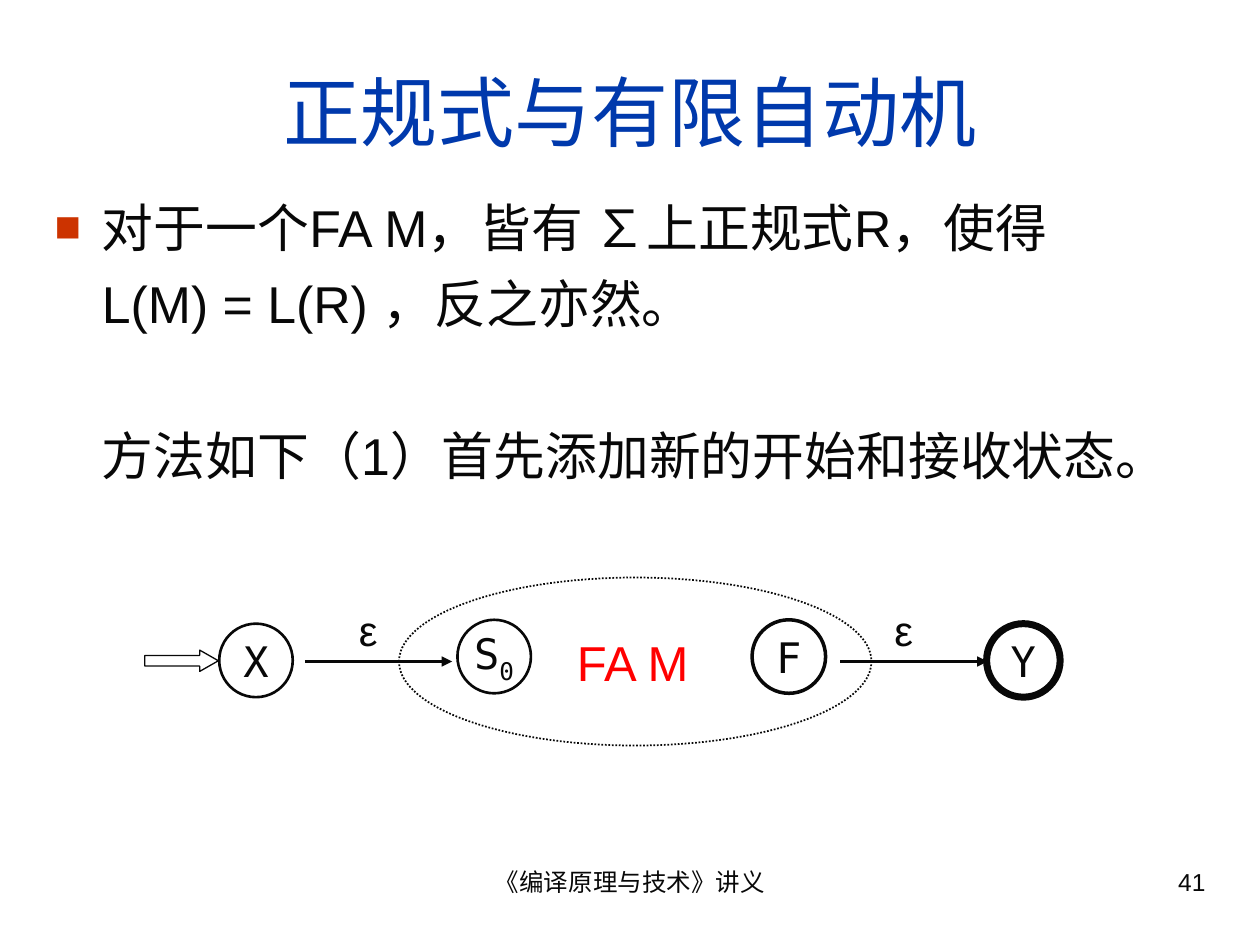
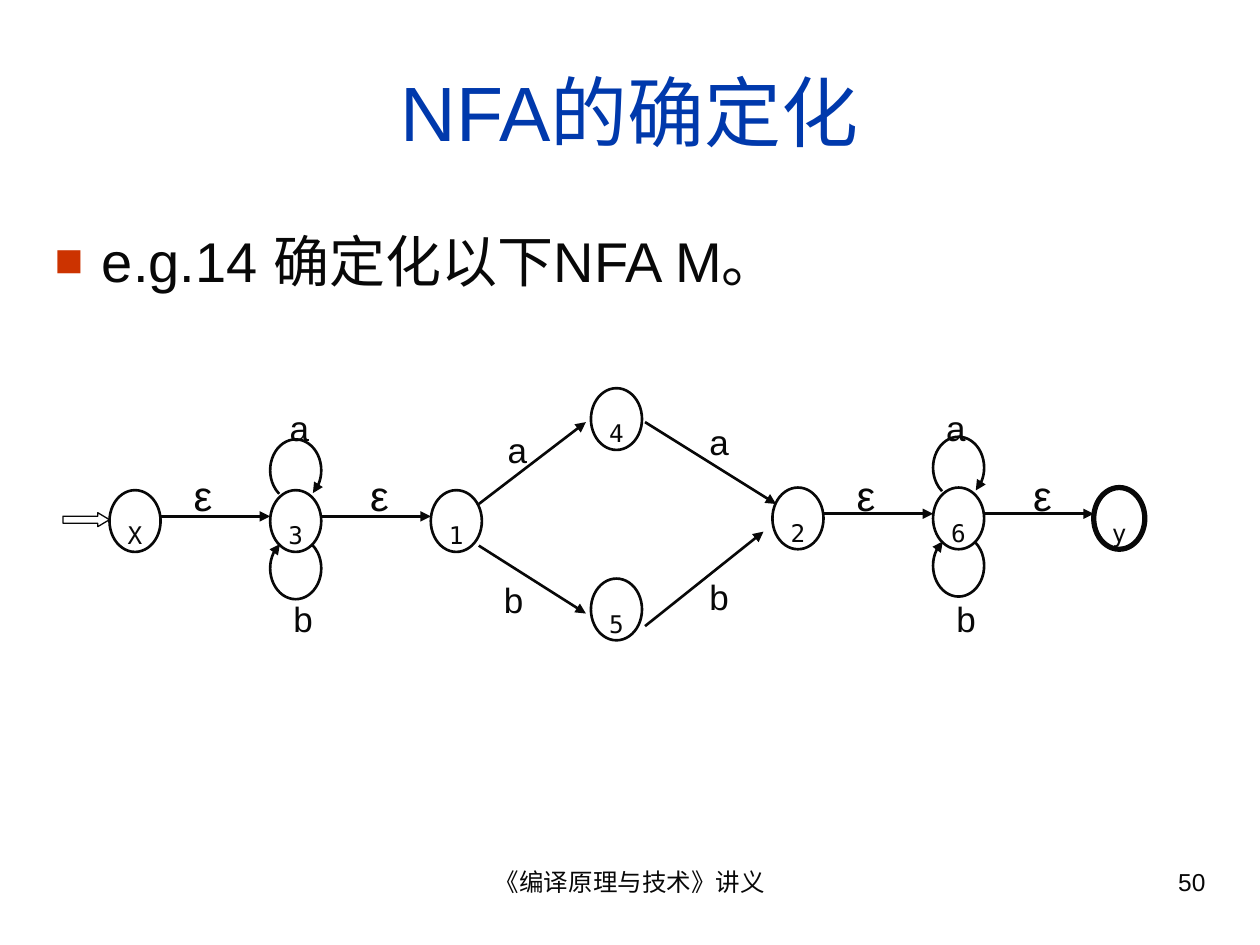
from pptx import Presentation
from pptx.dml.color import RGBColor
from pptx.enum.dml import MSO_LINE_DASH_STYLE as Dash
from pptx.enum.shapes import MSO_CONNECTOR as Connector, MSO_SHAPE as Shape
from pptx.enum.text import MSO_ANCHOR as Anchor, MSO_AUTO_SIZE as AutoSize, PP_ALIGN as Align
from pptx.oxml.ns import qn
from pptx.oxml.xmlchemy import OxmlElement
from pptx.util import Pt

INK = RGBColor(0x08, 0x08, 0x08)
TITLE_BLUE = RGBColor(0x00, 0x39, 0xAC)
BULLET_RED = RGBColor(0xCC, 0x33, 0x00)
ACCENT_RED = RGBColor(0xFF, 0x00, 0x00)
SANS = "Arial"
MONO = "DejaVu Sans Mono"
FOOTER = "《编译原理与技术》讲义"

HANGING = 27
NODE_WIDTH, NODE_HEIGHT = 29.2, 35.3
NODE_PITCH = 91.8


def add_xml(parent, tag, **attributes):
    element = OxmlElement(tag)
    for name, value in attributes.items():
        element.set(name, str(value))
    parent.append(element)
    return element


def write(paragraph, text, size=18, color=INK, font=SANS, align=Align.LEFT,
          before=0, baseline=0):
    """Append a formatted run to the paragraph; baseline is in percent."""
    paragraph.alignment = align
    paragraph.space_before = Pt(before)
    run = paragraph.add_run()
    run.text = text
    run.font.size = Pt(size)
    run.font.name = font
    run.font.color.rgb = color
    if baseline:
        run._r.get_or_add_rPr().set("baseline", str(baseline * 1000))


def set_bullet(paragraph, marked):
    properties = paragraph._p.get_or_add_pPr()
    properties.set("marL", str(Pt(HANGING)))
    properties.set("indent", str(Pt(-HANGING if marked else 0)))
    if marked:
        color = add_xml(properties, "a:buClr")
        add_xml(color, "a:srgbClr", val=BULLET_RED)
        add_xml(properties, "a:buSzPct", val=85000)
        add_xml(properties, "a:buFont", typeface=SANS)
        add_xml(properties, "a:buChar", char="■")
    else:
        add_xml(properties, "a:buNone")


def add_arrowhead(shape):
    line = shape._element.spPr.find(qn("a:ln"))
    add_xml(line, "a:tailEnd", type="triangle", w="med", len="med")


class Deck:
    """The lecture style together with the slide being drawn."""

    def __init__(self):
        self.presentation = Presentation()
        self.presentation.slide_width = Pt(720)
        self.presentation.slide_height = Pt(540)
        self.slide = None

    def start_slide(self, title, number):
        layout = self.presentation.slide_layouts[1]
        self.slide = self.presentation.slides.add_slide(layout)
        frame = self.place(self.slide.shapes.title, 24, 18, 672, 90)
        frame.vertical_anchor = Anchor.MIDDLE
        write(frame.paragraphs[0], title, size=44, color=TITLE_BLUE, align=Align.CENTER)
        self.label(FOOTER, 246, 492, 228, 37, size=14, align=Align.CENTER)
        self.label(str(number), 516, 492, 180, 37, size=14, align=Align.RIGHT)

    def place(self, placeholder, left, top, width, height):
        placeholder.left, placeholder.top = Pt(left), Pt(top)
        placeholder.width, placeholder.height = Pt(width), Pt(height)
        frame = placeholder.text_frame
        frame.word_wrap = True
        frame.auto_size = AutoSize.NONE
        return frame

    def body(self, lines, top, height, size):
        """Fill the body from (text, space before, bulleted) lines."""
        frame = self.place(self.slide.placeholders[1], 24, top, 672, height)
        for index, (text, before, bulleted) in enumerate(lines):
            paragraph = frame.add_paragraph() if index else frame.paragraphs[0]
            set_bullet(paragraph, bulleted)
            write(paragraph, text, size=size, before=before)

    def label(self, text, left, top, width=46, height=36, **style):
        box = self.slide.shapes.add_textbox(Pt(left), Pt(top), Pt(width), Pt(height))
        box.text_frame.word_wrap = True
        write(box.text_frame.paragraphs[0], text, **style)

    def epsilon(self, left, top):
        self.label("ε", left, top, size=24)

    def symbol(self, text, left, top):
        self.label(text, left, top, width=26, height=32, size=20)

    def outline(self, kind, left, top, width, height, weight=1.5):
        shape = self.slide.shapes.add_shape(kind, Pt(left), Pt(top), Pt(width), Pt(height))
        shape.shadow.inherit = False
        shape.fill.background()
        shape.line.color.rgb = INK
        shape.line.width = Pt(weight)
        return shape

    def ellipse(self, left, top, width, height, text, weight=1.5, subscript="", **style):
        shape = self.outline(Shape.OVAL, left, top, width, height, weight)
        frame = shape.text_frame
        frame.word_wrap = False
        frame.vertical_anchor = Anchor.MIDDLE
        style = {"size": 24, "font": MONO, "align": Align.CENTER, **style}
        write(frame.paragraphs[0], text, **style)
        if subscript:
            write(frame.paragraphs[0], subscript, **{**style, "baseline": -25})
        return shape

    def state(self, text, left, top, weight=1.5):
        self.ellipse(left, top, NODE_WIDTH, NODE_HEIGHT, text, weight, baseline=-25)

    def start_arrow(self, left, top, width, height, head):
        shape = self.outline(Shape.RIGHT_ARROW, left, top, width, height, 0.75)
        shape.adjustments[1] = head

    def arrow(self, x1, y1, x2, y2):
        connector = self.slide.shapes.add_connector(
            Connector.STRAIGHT, Pt(x1), Pt(y1), Pt(x2), Pt(y2))
        connector.line.color.rgb = INK
        connector.line.width = Pt(1.5)
        add_arrowhead(connector)
        add_xml(connector._element.spPr, "a:effectLst")

    def loop(self, left, top, start, end):
        """Draw a self-transition clockwise between two angles in degrees."""
        arc = self.outline(Shape.ARC, left, top, NODE_WIDTH, NODE_HEIGHT)
        for index, angle in enumerate((start, end)):
            arc.adjustments[index] = angle * 60000 / 100000
        add_arrowhead(arc)

    def chain(self, names, left, top, loop_label_left, last_weight=1.5):
        """Draw three states joined by ε, the middle one looping on a and b."""
        lefts = [left + NODE_PITCH * index for index in range(3)]
        for name, x, weight in zip(names, lefts, (1.5, 1.5, last_weight)):
            self.state(name, x, top, weight)
        for x, following, label_offset in zip(lefts, lefts[1:], (41, 50)):
            self.arrow(x + NODE_WIDTH, top + 15, following, top + 15)
            self.epsilon(x + label_offset, 265)
        middle = lefts[1]
        self.loop(middle, top - 29, 125, 53)
        self.loop(middle, top + 27, 304, 237)
        self.symbol("a", loop_label_left, 228.5)
        self.symbol("b", middle + 6.2, 337.7)


def regular_expression_slide(deck):
    deck.start_slide("正规式与有限自动机", 41)
    deck.body([
        ("对于一个FA M，皆有 ∑上正规式R，使得", 0, True),
        ("L(M) = L(R) ，反之亦然。", 8, False),
        ("方法如下（1）首先添加新的开始和接收状态。", 51.5, False),
    ], top=108, height=372, size=29.6)

    machine = deck.ellipse(228, 330, 270, 96, "FA M", weight=1,
                           size=28, font=SANS, color=ACCENT_RED)
    machine.line.dash_style = Dash.ROUND_DOT
    machine.text_frame.margin_right = Pt(10)
    for text, subscript, left, top, weight in (
            ("X", "", 125.3, 356.4, 1.5), ("S", "0", 261.4, 354.2, 1.5),
            ("F", "", 429.8, 354.2, 2), ("Y", "", 563.8, 356.4, 4)):
        deck.ellipse(left, top, 42, 42, text, weight, subscript)
    deck.start_arrow(82.8, 371.5, 42, 12.2, head=0.876)
    for arrow_left, label_left in ((174.2, 198), (480.2, 504)):
        deck.arrow(arrow_left, 378, arrow_left + 84.2, 378)
        deck.epsilon(label_left, 342)


def determinization_slide(deck):
    deck.start_slide("NFA的确定化", 50)
    deck.body([("e.g.14 确定化以下NFA M。", 0, True)], top=126, height=54, size=32)

    deck.start_arrow(36, 293, 26.6, 8, head=0.837)
    deck.chain("X31", 62.6, 280.1, loop_label_left=158.4)
    deck.chain("26y", 441.4, 278.6, loop_label_left=533.5, last_weight=3)
    deck.state("4", 337.7, 221.8)
    deck.state("5", 337.7, 330.6)
    for text, left, top, ends in (
            ("a", 283, 241.2, (273.6, 288, 334.8, 241.2)),
            ("b", 280.8, 326.9, (273.6, 311.8, 334.8, 350.6)),
            ("a", 398.2, 236.9, (368.6, 241.2, 443.5, 288)),
            ("b", 398.2, 325.4, (368.6, 357.8, 436.3, 303.8))):
        deck.arrow(*ends)
        deck.symbol(text, left, top)


def main():
    deck = Deck()
    regular_expression_slide(deck)
    determinization_slide(deck)
    deck.presentation.save("out.pptx")


if __name__ == "__main__":
    main()
